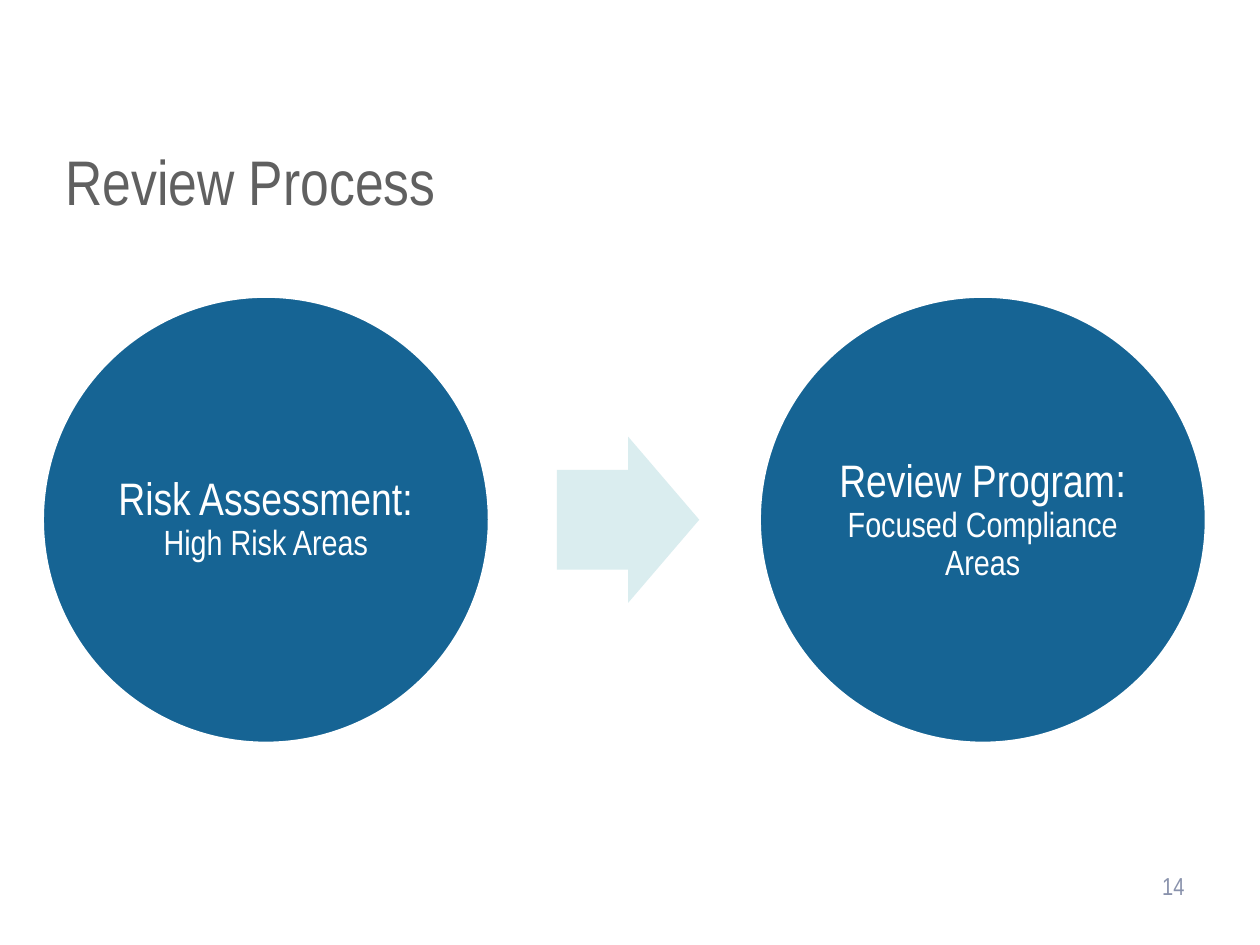
from dataclasses import dataclass

from pptx import Presentation, util as u
from pptx.dml.color import RGBColor
from pptx.enum import shapes, text

W, H = 10, 7.5
FONT = "Arial Narrow"
WHITE, BLUE, PALE, GREY, MUTED = "FFFFFF", "166494", "DAEDEF", "606060", "8992AC"

# Process row: two circles on one centre line, an arrow between them
MID_Y = 0.55 * H
CIRCLE, LABEL = 3.55, 2.51
ARROW_W, ARROW_H = 1.13, 1.32


@dataclass
class Run:
    words: str
    size: float
    color: str = WHITE


@dataclass
class Stage:
    center_x: float
    runs: list[Run]


STAGES = [
    Stage(2.11, [Run("Risk Assessment: ", 26), Run("High Risk Areas", 20)]),
    Stage(7.8, [Run("Review Program", 26), Run(": ", 27),
                Run("Focused Compliance Areas", 20)]),
]


def rgb(value: str) -> RGBColor:
    return RGBColor.from_string(value)


def centered(x: float, w: float, h: float) -> tuple:
    """Box of w by h around x on the centre line of the row."""
    return x - w / 2, MID_Y - h / 2, w, h


def add_text(s, box: tuple, runs: list[Run], frame: dict, para: dict) -> None:
    tf = s.shapes.add_textbox(*map(u.Inches, box)).text_frame
    p = tf.paragraphs[0]
    for target, values in ((tf, {"word_wrap": True, **frame}), (p, para)):
        for name, value in values.items():
            setattr(target, name, value)
    for run in runs:
        r = p.add_run()
        r.text = run.words
        r.font.name, r.font.size = FONT, u.Pt(run.size)
        r.font.color.rgb = rgb(run.color)


def add_solid(s, kind, box: tuple, fill: str):
    sp = s.shapes.add_shape(kind, *map(u.Inches, box))
    sp.shadow.inherit = False
    sp.fill.solid()
    sp.fill.fore_color.rgb = rgb(fill)
    sp.line.fill.background()
    return sp


def add_stage(s, stage: Stage) -> None:
    sp = add_solid(s, shapes.MSO_SHAPE.OVAL,
                   centered(stage.center_x, CIRCLE, CIRCLE), BLUE)
    sp.line.color.rgb = rgb(WHITE)
    sp.line.width = u.Pt(2)
    margins = {f"margin_{side}": u.Inches(0.04)
               for side in ("left", "top", "right", "bottom")}
    add_text(s, centered(stage.center_x, LABEL, LABEL), stage.runs,
             {"vertical_anchor": text.MSO_ANCHOR.MIDDLE, **margins},
             {"alignment": text.PP_ALIGN.CENTER, "line_spacing": 0.9})


def main() -> None:
    prs = Presentation()
    prs.slide_width, prs.slide_height = u.Inches(W), u.Inches(H)
    s = prs.slides.add_slide(prs.slide_layouts[6])

    # Title and page number
    add_text(s, (0.42, 1.08, 9.08, 1.25), [Run("Review Process", 36, GREY)], {}, {})
    add_text(s, (7.17, 6.83, 2.33, 0.4), [Run("14", 14, MUTED)],
             {"vertical_anchor": text.MSO_ANCHOR.MIDDLE},
             {"alignment": text.PP_ALIGN.RIGHT})

    # Stages and the arrow between them
    for stage in STAGES:
        add_stage(s, stage)
    middle = sum(stage.center_x for stage in STAGES) / len(STAGES)
    arrow = add_solid(s, shapes.MSO_SHAPE.RIGHT_ARROW,
                      centered(middle + 0.03, ARROW_W, ARROW_H), PALE)
    arrow.adjustments[0], arrow.adjustments[1] = 0.6, 0.5

    prs.save("out.pptx")


if __name__ == "__main__":
    main()
